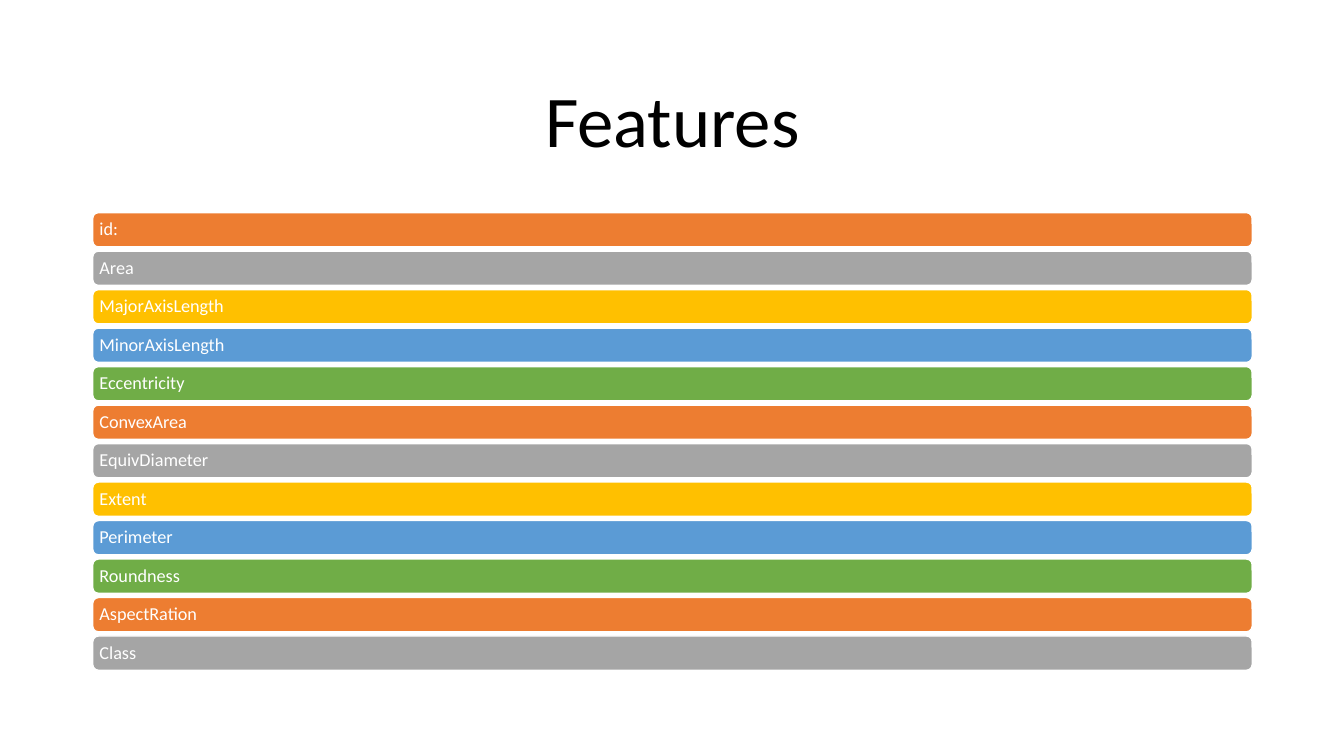
from pptx import Presentation
from pptx.dml.color import RGBColor
from pptx.enum import shapes, text
from pptx.util import Inches, Pt

TITLE = "Features"
FEATURES = [
    "id:",
    "Area",
    "MajorAxisLength",
    "MinorAxisLength",
    "Eccentricity",
    "ConvexArea",
    "EquivDiameter",
    "Extent",
    "Perimeter",
    "Roundness",
    "AspectRation",
    "Class",
]
COLORS = {
    "orange": "ED7D31",
    "gray": "A5A5A5",
    "gold": "FFC000",
    "blue": "5B9BD5",
    "green": "70AD47",
    "white": "FFFFFF",
    "black": "000000",
}
BAR_CYCLE = ["orange", "gray", "gold", "blue", "green"]
FONT = "Calibri"

LEFT, WIDTH = 0.92, 11.5
LIST_TOP, LIST_BOTTOM = 2.11, 6.65
BAR_HEIGHT = 0.34
BAR_PITCH = (LIST_BOTTOM - LIST_TOP - BAR_HEIGHT) / (len(FEATURES) - 1)


def rgb(name):
    return RGBColor.from_string(COLORS[name])


def write(holder, words, size, color, align, inset_x, inset_y):
    frame = holder.text_frame
    frame.word_wrap = True
    frame.auto_size = text.MSO_AUTO_SIZE.NONE
    frame.vertical_anchor = text.MSO_ANCHOR.MIDDLE
    frame.margin_left = frame.margin_right = Inches(inset_x)
    frame.margin_top = frame.margin_bottom = Inches(inset_y)
    paragraph = frame.paragraphs[0]
    paragraph.alignment = align
    paragraph.line_spacing = 0.9
    run = paragraph.add_run()
    run.text = words
    run.font.name = FONT
    run.font.size = Pt(size)
    run.font.color.rgb = rgb(color)


def add_bar(slide, index, feature):
    bar = slide.shapes.add_shape(
        shapes.MSO_SHAPE.ROUNDED_RECTANGLE,
        Inches(LEFT), Inches(LIST_TOP + index * BAR_PITCH),
        Inches(WIDTH), Inches(BAR_HEIGHT))
    bar.shadow.inherit = False
    bar.fill.solid()
    bar.fill.fore_color.rgb = rgb(BAR_CYCLE[index % len(BAR_CYCLE)])
    bar.line.color.rgb = rgb("white")
    bar.line.width = Pt(1)
    write(bar, feature, size=13, color="white", align=text.PP_ALIGN.LEFT,
          inset_x=0.05, inset_y=0.05)


def main():
    deck = Presentation()
    deck.slide_width, deck.slide_height = Inches(13.33), Inches(7.5)
    slide = deck.slides.add_slide(deck.slide_layouts[5])

    heading = slide.shapes.title
    heading.left, heading.top = Inches(LEFT), Inches(0.61)
    heading.width, heading.height = Inches(WIDTH), Inches(1.24)
    write(heading, TITLE, size=52, color="black", align=text.PP_ALIGN.CENTER,
          inset_x=0.1, inset_y=0.05)

    for index, feature in enumerate(FEATURES):
        add_bar(slide, index, feature)

    deck.save("out.pptx")


if __name__ == "__main__":
    main()
